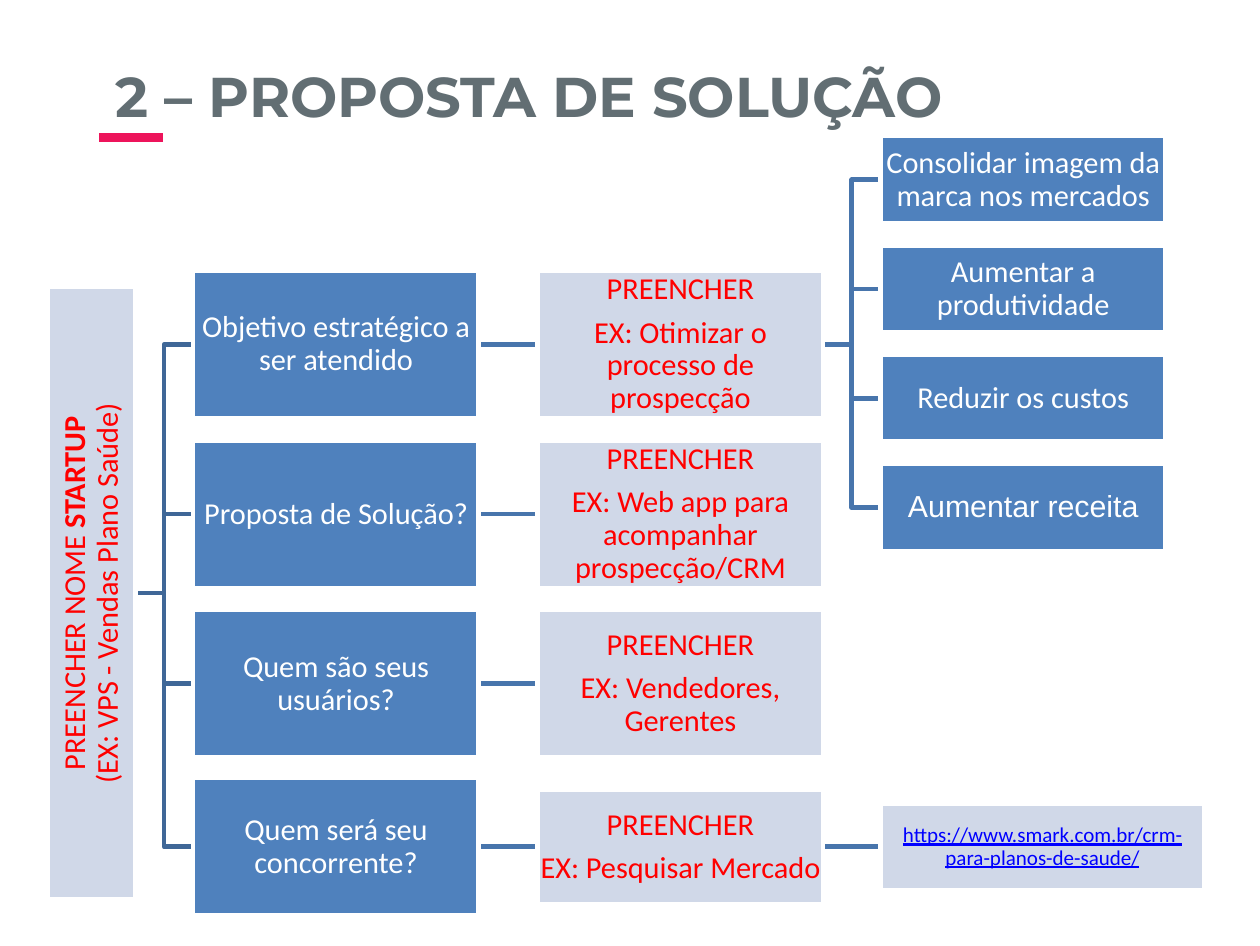
"""Build the solution proposal slide with its horizontal tree of boxes."""
import dataclasses
import typing

import lxml.etree
import pptx
import pptx.dml.color
import pptx.enum.shapes
import pptx.enum.text
import pptx.oxml.ns
import pptx.util

Inches = pptx.util.Inches


@dataclasses.dataclass(frozen=True)
class Theme:
    """Colours, fonts and sizes of the slide."""
    heading: str = "626E73"
    accent: str = "ED145B"
    solid: str = "4F81BD"
    pale: str = "D0D8E8"
    white: str = "FFFFFF"
    red: str = "FF0000"
    link: str = "0000FF"
    trunk: str = "3F6797"
    branch: str = "4875AC"
    title_font: str = "Montserrat"
    body_font: str = "Calibri"
    plain_font: str = "Arial"
    title_size: float = 24
    body_size: float = 13
    link_size: float = 9
    paragraph_gap: float = 4.5
    line_width: float = 2
    accent_width: float = 4


THEME = Theme()


@dataclasses.dataclass(frozen=True)
class Node:
    """One box of the tree, placed by its left edge and vertical centre."""
    left: float
    middle: float
    width: float
    height: float
    lines: tuple[str, ...]
    fill: str = THEME.solid
    color: str = THEME.white
    font: str = THEME.body_font
    size: float = THEME.body_size
    underline: bool = False
    rotation: float = 0

    @property
    def right(self) -> float:
        """Return the right edge as seen on the slide."""
        if self.rotation:
            return self.left + self.width / 2 + self.height / 2
        return self.left + self.width


def rgb(color: str) -> pptx.dml.color.RGBColor:
    """Turn a hexadecimal string into a colour."""
    return pptx.dml.color.RGBColor.from_string(color)


def style_font(font: typing.Any, name: str, size: float, color: str) -> None:
    """Set the face, size and colour of a font."""
    font.name = name
    font.size = pptx.util.Pt(size)
    font.color.rgb = rgb(color)


def style_line(line: typing.Any, color: str, width: float) -> None:
    """Set the colour and width of a line."""
    line.color.rgb = rgb(color)
    line.width = pptx.util.Pt(width)


def draw_node(slide: typing.Any, node: Node) -> typing.Any:
    """Draw one box with its centred paragraphs."""
    box = slide.shapes.add_shape(
        pptx.enum.shapes.MSO_SHAPE.RECTANGLE, Inches(node.left),
        Inches(node.middle - node.height / 2), Inches(node.width), Inches(node.height))
    box.rotation = node.rotation
    box.shadow.inherit = False
    box.fill.solid()
    box.fill.fore_color.rgb = rgb(node.fill)
    style_line(box.line, THEME.white, THEME.line_width)
    frame = box.text_frame
    frame.word_wrap = True
    frame.vertical_anchor = pptx.enum.text.MSO_ANCHOR.MIDDLE
    frame.margin_left = frame.margin_right = Inches(0.01)
    frame.margin_top = frame.margin_bottom = Inches(0.01)
    for index, text in enumerate(node.lines):
        para = frame.paragraphs[0] if index == 0 else frame.add_paragraph()
        para.text = text
        para.alignment = pptx.enum.text.PP_ALIGN.CENTER
        para.line_spacing = 0.9
        if index:
            para.space_before = pptx.util.Pt(THEME.paragraph_gap)
        style_font(para.font, node.font, node.size, node.color)
        if node.underline:
            para.font.underline = True
    return box


def draw_straight(slide: typing.Any, left: float, right: float, y: float,
                  color: str, width: float) -> None:
    """Draw a horizontal line without shadow."""
    line = slide.shapes.add_connector(
        pptx.enum.shapes.MSO_CONNECTOR.STRAIGHT,
        Inches(left), Inches(y), Inches(right), Inches(y))
    style_line(line.line, color, width)
    lxml.etree.SubElement(line._element.spPr, pptx.oxml.ns.qn("a:effectLst"))


def link_nodes(slide: typing.Any, parent: Node, child: Node, color: str) -> None:
    """Join two boxes with a straight line or a stepped one."""
    if parent.middle == child.middle:
        draw_straight(slide, parent.right, child.left, parent.middle, color, THEME.line_width)
        return
    bend = (parent.right + child.left) / 2
    builder = slide.shapes.build_freeform(Inches(parent.right), Inches(parent.middle))
    builder.add_line_segments(
        [(Inches(x), Inches(y)) for x, y in
         ((bend, parent.middle), (bend, child.middle), (child.left, child.middle))],
        close=False)
    step = builder.convert_to_shape()
    step.shadow.inherit = False
    step.fill.background()
    style_line(step.line, color, THEME.line_width)


def draw_title(slide: typing.Any, text: str) -> None:
    """Fill the title placeholder and underline its start."""
    title = slide.shapes.title
    title.left, title.top = Inches(0.59), Inches(0.29)
    title.width, title.height = Inches(5.56), Inches(0.55)
    frame = title.text_frame
    frame.auto_size = pptx.enum.text.MSO_AUTO_SIZE.NONE
    frame.vertical_anchor = pptx.enum.text.MSO_ANCHOR.MIDDLE
    para = frame.paragraphs[0]
    para.text = text
    para.alignment = pptx.enum.text.PP_ALIGN.LEFT
    style_font(para.font, THEME.title_font, THEME.title_size, THEME.heading)
    para.font.bold = True
    draw_straight(slide, 0.59, 0.97, 0.82, THEME.accent, THEME.accent_width)


def main() -> None:
    """Compose the slide and save the deck."""
    deck = pptx.Presentation()
    deck.slide_width, deck.slide_height = Inches(7.5), Inches(5.63)
    slide = deck.slides.add_slide(deck.slide_layouts[5])
    draw_title(slide, "2 – PROPOSTA DE SOLUÇÃO")

    rows = (
        (2.05, 0.88, 0.88, "Objetivo estratégico a ser atendido",
         "EX: Otimizar o processo de prospecção"),
        (3.06, 0.88, 0.88, "Proposta de Solução?",
         "EX: Web app para acompanhar prospecção/CRM"),
        (4.07, 0.88, 0.88, "Quem são seus usuários?", "EX: Vendedores, Gerentes"),
        (5.04, 0.82, 0.68, "Quem será seu concorrente?", "EX: Pesquisar Mercado"),
    )
    questions = [Node(1.15, middle, 1.7, height, (question,))
                 for middle, height, _, question, _ in rows]
    answers = [Node(3.2, middle, 1.7, height, ("PREENCHER", answer), THEME.pale, THEME.red)
               for middle, _, height, _, answer in rows]
    goal_fonts = {
        "Consolidar imagem da marca nos mercados": THEME.body_font,
        "Aumentar a produtividade": THEME.body_font,
        "Reduzir os custos": THEME.body_font,
        "Aumentar receita": THEME.plain_font,
    }
    goals = [Node(5.24, 1.07 + 0.65 * index, 1.7, 0.52, (goal,), font=font)
             for index, (goal, font) in enumerate(goal_fonts.items())]
    website = Node(5.24, 5.04, 1.93, 0.52,
                   ("https://www.smark.com.br/crm-para-planos-de-saude/",),
                   THEME.pale, THEME.link, size=THEME.link_size, underline=True)
    startup = Node(-1.28, 3.53, 3.65, 0.52, ("PREENCHER NOME ",),
                   THEME.pale, THEME.red, rotation=270)

    for question, answer in zip(questions, answers):
        link_nodes(slide, startup, question, THEME.trunk)
        link_nodes(slide, question, answer, THEME.branch)
    for goal in goals:
        link_nodes(slide, answers[0], goal, THEME.branch)
    link_nodes(slide, answers[-1], website, THEME.branch)

    for node in (*questions, *answers, *goals, website):
        draw_node(slide, node)
    para = draw_node(slide, startup).text_frame.paragraphs[0]
    span = para.add_run()
    span.text = "STARTUP"
    span.font.bold = True
    para.add_line_break()
    para.add_run().text = "(EX: VPS - Vendas Plano Saúde)"
    deck.save("out.pptx")


if __name__ == "__main__":
    main()
